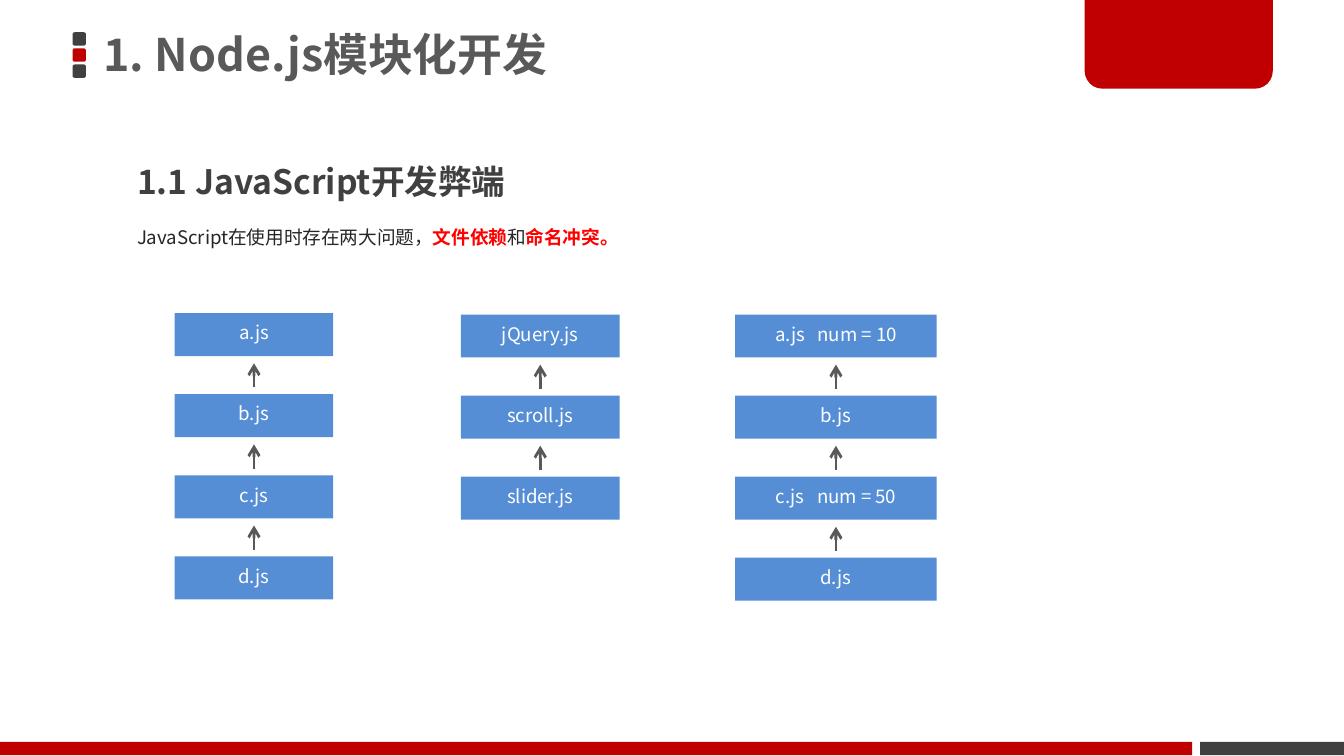
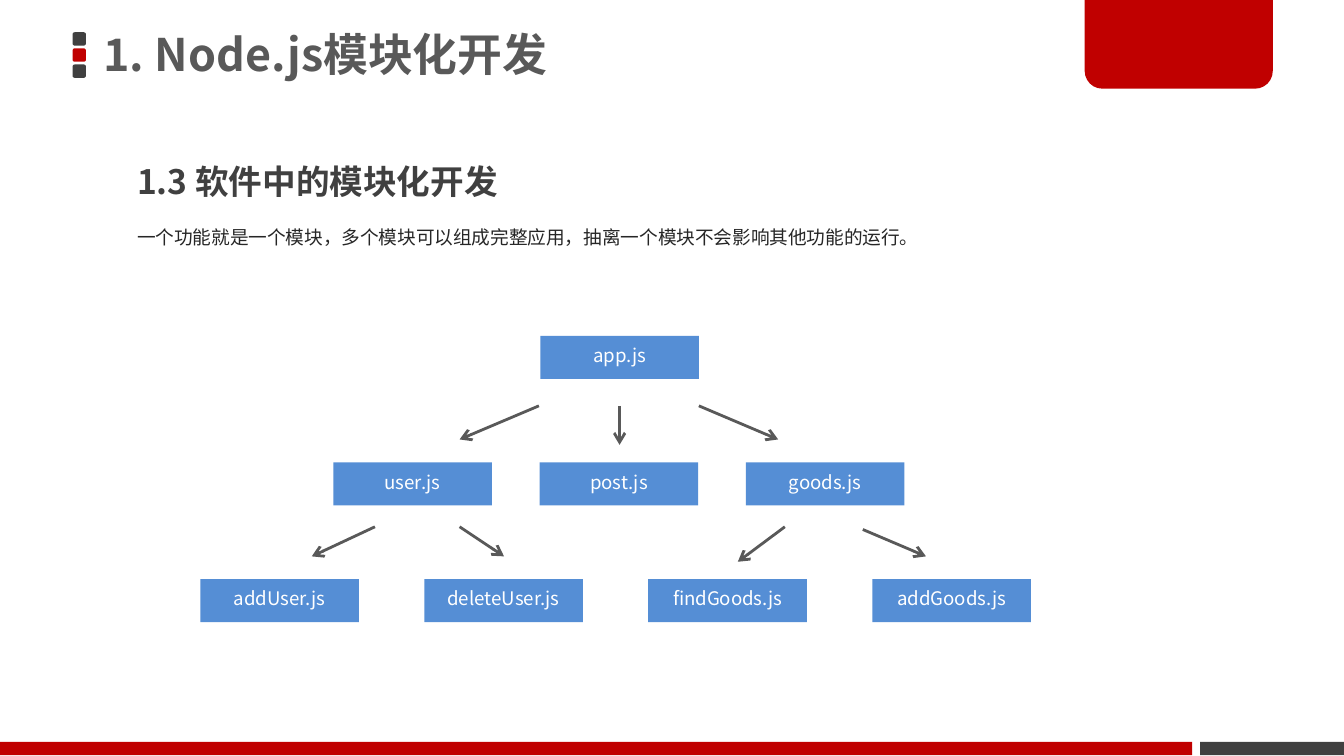
from dataclasses import dataclass

from lxml import etree
from pptx import Presentation
from pptx.dml.color import RGBColor
from pptx.enum import shapes, text
from pptx.oxml import ns
from pptx.util import Inches, Pt


@dataclass(frozen=True)
class Theme:
    font: str = "Noto Sans CJK SC"
    red: str = "C00000"
    dark: str = "404040"
    gray: str = "595959"
    body: str = "262626"
    accent: str = "FF0000"
    box: str = "558ED5"
    white: str = "FFFFFF"
    title_size: int = 24
    heading_size: int = 18
    body_size: int = 10
    arrow_width: float = 1.5


T = Theme()

# Content: sentences are (text, emphasised) pairs
TITLE = "1. Node.js模块化开发"
PROBLEMS = {
    "heading": "1.1 JavaScript开发弊端",
    "sentence": [("JavaScript在使用时存在两大问题，", False), ("文件依赖", True),
                 ("和", False), ("命名冲突。", True)],
}
MODULES = {
    "heading": "1.3 软件中的模块化开发",
    "sentence": [("一个功能就是一个模块，多个模块可以组成完整应用，"
                  "抽离一个模块不会影响其他功能的运行。", False)],
}

# Dependency chains: left, top, box width, files from top to bottom
CHAINS = [
    (1.3, 2.33, 1.18, ["a.js", "b.js", "c.js", "d.js"]),
    (3.43, 2.34, 1.18, ["jQuery.js", "scroll.js", "slider.js"]),
    (5.47, 2.34, 1.5, ["a.js   num = 10", "b.js", "c.js   num = 50", "d.js"]),
]
# Module tree: first left, last left, top, files from left to right
TREE_ROWS = [
    (4.02, 4.02, 2.5, ["app.js"]),
    (2.48, 5.55, 3.44, ["user.js", "post.js", "goods.js"]),
    (1.49, 6.49, 4.31, ["addUser.js", "deleteUser.js", "findGoods.js", "addGoods.js"]),
]
TREE_ARROWS = [
    (4.01, 3.02, 3.42, 3.27), (4.61, 3.02, 4.61, 3.31), (5.2, 3.02, 5.79, 3.27),
    (2.79, 3.92, 2.32, 4.14), (3.42, 3.92, 3.75, 4.14),
    (5.84, 3.92, 5.49, 4.18), (6.42, 3.94, 6.89, 4.14),
]

BOX_W, BOX_H = 1.18, 0.32
CHAIN_STEP = 1.81 / 3
ARROW_GAP, ARROW_LEN = 0.05, 0.18


# Helpers
def style(p, size, color, bold=False):
    for r in p.runs:
        r.font.size, r.font.bold, r.font.name = Pt(size), bold, T.font
        r.font.color.rgb = RGBColor.from_string(color)
        ea = etree.SubElement(r.font._element, ns.qn("a:ea"))
        ea.set("typeface", T.font)


def add_block(s, kind, x, y, w, h, color):
    sp = s.shapes.add_shape(kind, Inches(x), Inches(y), Inches(w), Inches(h))
    sp.shadow.inherit = False
    sp.fill.solid()
    sp.fill.fore_color.rgb = RGBColor.from_string(color)
    sp.line.fill.background()
    return sp


def add_file(s, x, y, label, w=BOX_W):
    tf = add_block(s, shapes.MSO_SHAPE.RECTANGLE, x, y, w, BOX_H, T.box).text_frame
    tf.text = label
    tf.vertical_anchor = text.MSO_ANCHOR.TOP
    tf.margin_top = Inches(0.06)
    tf.paragraphs[0].alignment = text.PP_ALIGN.CENTER
    style(tf.paragraphs[0], T.body_size, T.white)


def add_arrow(s, x1, y1, x2, y2):
    line = s.shapes.add_connector(shapes.MSO_CONNECTOR.STRAIGHT,
                                  Inches(x1), Inches(y1), Inches(x2), Inches(y2))
    line.line.width = Pt(T.arrow_width)
    line.line.color.rgb = RGBColor.from_string(T.gray)
    etree.SubElement(line.line._get_or_add_ln(), ns.qn("a:tailEnd")).set("type", "arrow")
    etree.SubElement(line._element.spPr, ns.qn("a:effectLst"))


def place(sp, x, y, w, h, anchor, spacing, margins):
    """Position a placeholder and return its only paragraph, without a bullet."""
    sp.left, sp.top, sp.width, sp.height = (Inches(v) for v in (x, y, w, h))
    tf = sp.text_frame
    tf.word_wrap, tf.auto_size = True, text.MSO_AUTO_SIZE.NONE
    tf.vertical_anchor = anchor
    tf.margin_left = tf.margin_right = Inches(margins[0])
    tf.margin_top = tf.margin_bottom = Inches(margins[1])
    p = tf.paragraphs[0]
    p.alignment, p.line_spacing = text.PP_ALIGN.LEFT, spacing
    p.space_before = p.space_after = Pt(0)
    pPr = p._p.get_or_add_pPr()
    pPr.set("marL", "0")
    pPr.set("indent", "0")
    etree.SubElement(pPr, ns.qn("a:buNone"))
    return p


# Shared frame: title marker, corner tab, footer bands and the three texts
def add_slide(prs, content):
    s = prs.slides.add_slide(prs.slide_layouts.get_by_name("Two Content"))
    kinds = shapes.MSO_SHAPE
    for i, color in enumerate((T.dark, T.red, T.dark)):
        add_block(s, kinds.ROUNDED_RECTANGLE, 0.54, 0.24 + 0.12 * i, 0.1, 0.1, color)
    add_block(s, kinds.RECTANGLE, 8.93, 5.52, 1.07, 0.1, T.dark)
    add_block(s, kinds.RECTANGLE, 0, 5.52, 8.87, 0.1, T.red)
    tab = add_block(s, kinds.ROUND_2_SAME_RECTANGLE, 8.07, 0, 1.4, 0.66, T.red)
    tab.adjustments[0] = 0.2
    tab.rotation = 180

    title, heading, sentence = s.placeholders
    top, middle = text.MSO_ANCHOR.TOP, text.MSO_ANCHOR.MIDDLE
    title.text_frame.text = TITLE
    p = place(title, 0.69, -0.02, 5.89, 0.89, middle, 0.9, (0.08, 0.04))
    style(p, T.title_size, T.gray, True)

    heading.text_frame.text = content["heading"]
    p = place(heading, 0.92, 1, 3.84, 0.55, top, 1.5, (0.1, 0.05))
    style(p, T.heading_size, T.dark, True)

    p = place(sentence, 0.92, 1.55, 7.15, 0.35, top, 1.5, (0.1, 0.05))
    for part, _ in content["sentence"]:
        p.add_run().text = part
    style(p, T.body_size, T.body)
    for r, (_, strong) in zip(p.runs, content["sentence"]):
        if strong:
            r.font.bold = True
            r.font.color.rgb = RGBColor.from_string(T.accent)
    return s


# Diagrams
def draw_chains(s):
    for x, top, w, files in CHAINS:
        for i, label in enumerate(files):
            y = top + CHAIN_STEP * i
            add_file(s, x, y, label, w)
            if i:
                start, mid = y - ARROW_GAP, x + w / 2
                add_arrow(s, mid, start, mid, start - ARROW_LEN)


def draw_tree(s):
    for first, last, y, files in TREE_ROWS:
        step = (last - first) / max(len(files) - 1, 1)
        for i, label in enumerate(files):
            add_file(s, first + step * i, y, label)
    for ends in TREE_ARROWS:
        add_arrow(s, *ends)


def main():
    prs = Presentation()
    # Widescreen, 16:9
    prs.slide_width, prs.slide_height = Inches(10), Inches(10 * 9 / 16)
    draw_chains(add_slide(prs, PROBLEMS))
    draw_tree(add_slide(prs, MODULES))
    prs.save("out.pptx")


if __name__ == "__main__":
    main()
